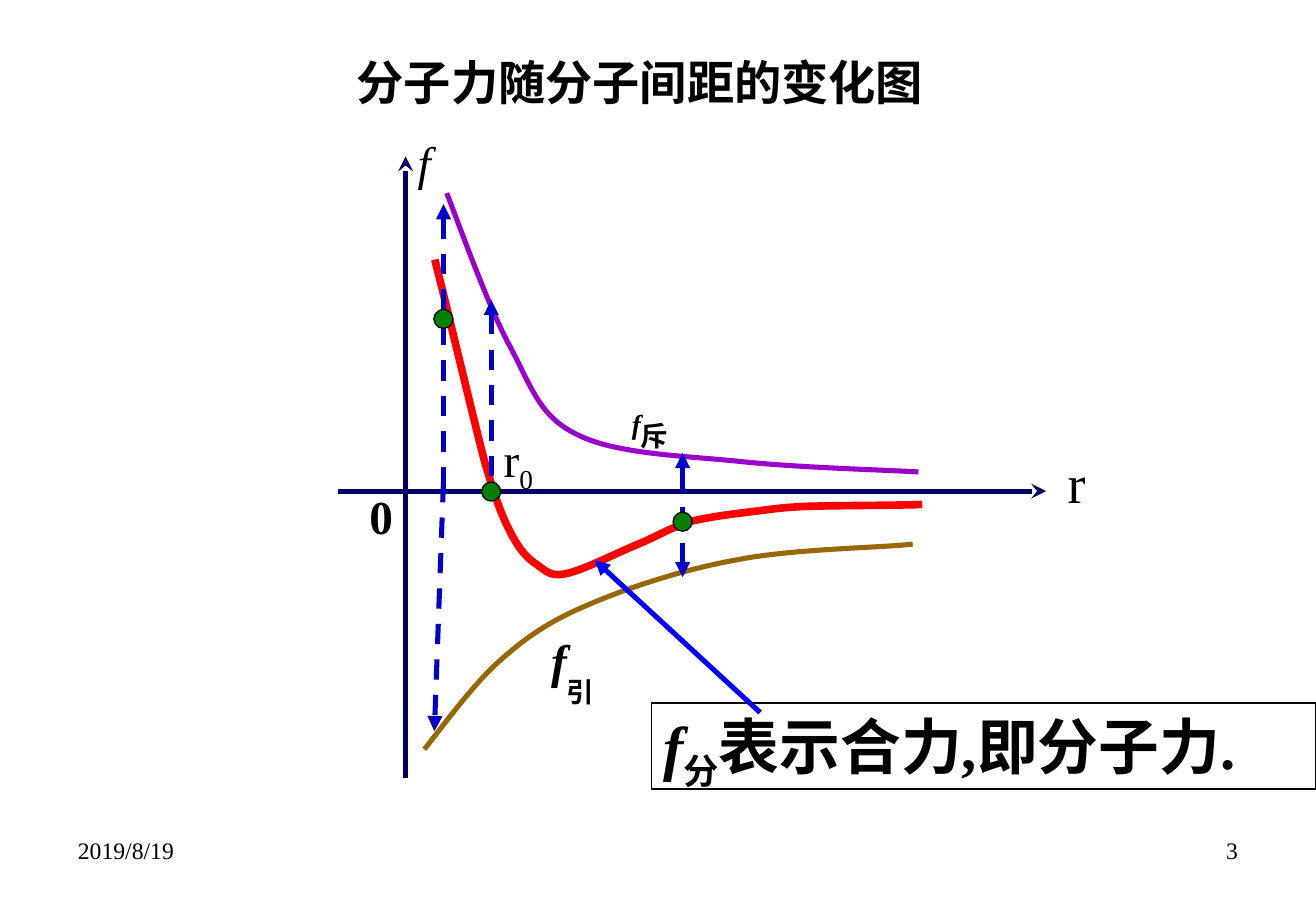
import pptx
import pptx.util
import pptx.dml.color
import pptx.enum.dml
import pptx.enum.shapes
import pptx.enum.text
from lxml import etree
from pptx.oxml.ns import qn

Cm, Pt = pptx.util.Cm, pptx.util.Pt
RGBColor = pptx.dml.color.RGBColor
SHAPES = pptx.enum.shapes.MSO_SHAPE
ALIGN = pptx.enum.text.PP_ALIGN
GROW = pptx.enum.text.MSO_AUTO_SIZE.SHAPE_TO_FIT_TEXT
FIXED = pptx.enum.text.MSO_AUTO_SIZE.NONE

BLACK = RGBColor(0x00, 0x00, 0x00)
NAVY = RGBColor(0x00, 0x00, 0x66)
PURPLE = RGBColor(0x99, 0x00, 0xCC)
BROWN = RGBColor(0x99, 0x66, 0x00)
RED = RGBColor(0xFF, 0x00, 0x00)
ARROW_BLUE = RGBColor(0x00, 0x00, 0xCC)
POINTER_BLUE = RGBColor(0x00, 0x00, 0xFF)
GREEN = RGBColor(0x00, 0x80, 0x00)

deck = pptx.Presentation()
deck.slide_width, deck.slide_height = Cm(27.51), Cm(19.05)
page = deck.slides.add_slide(deck.slide_layouts[6])


def write(frame, spans, size, bold=False, align=ALIGN.LEFT, fit=GROW):
    """Fill a frame with spans of (text, italic, baseline in percent)."""
    frame.word_wrap, frame.auto_size = True, fit
    para = frame.paragraphs[0]
    para.alignment = align
    para.font.name, para.font.size = "Times New Roman", Pt(size)
    para.font.bold, para.font.color.rgb = bold, BLACK
    for text, italic, baseline in spans:
        span = para.add_run()
        span.text = text
        span.font.italic = italic
        if baseline:
            span._r.get_or_add_rPr().set("baseline", str(baseline * 1000))


def draw_arrow(shapes, start, end, color, end_name, head, dashed=False):
    """Draw a line whose arrowhead sits at headEnd (start) or tailEnd (end)."""
    arrow = shapes.add_connector(
        pptx.enum.shapes.MSO_CONNECTOR.STRAIGHT, *map(Cm, start + end))
    arrow.line.color.rgb, arrow.line.width = color, Pt(3)
    if dashed:
        arrow.line.dash_style = pptx.enum.dml.MSO_LINE.DASH
    etree.SubElement(arrow.line._get_or_add_ln(), qn("a:" + end_name), type=head)
    etree.SubElement(arrow._element.spPr, qn("a:effectLst"))


# Force curves: a start point, then three Bezier points per segment
for color, width, points in [
    (PURPLE, 3, [
        (9.34, 4.04), (9.55, 4.57), (10.21, 6.43), (10.67, 7.26),
        (11.13, 8.13), (11.28, 8.71), (12.07, 9.09),
        (12.88, 9.5), (14.3, 9.53), (15.47, 9.65),
        (16.66, 9.78), (18.57, 9.83), (19.2, 9.87)]),
    (BROWN, 3, [
        (8.87, 15.67), (9.12, 15.37), (9.83, 14.38), (10.39, 13.87),
        (10.95, 13.36), (11.46, 13), (12.29, 12.65),
        (13.13, 12.29), (14.27, 11.91), (15.39, 11.71),
        (16.54, 11.48), (18.31, 11.46), (19.08, 11.38)]),
    (RED, 4.5, [
        (9.09, 5.43), (9.27, 6.12), (9.88, 8.69), (10.13, 9.65),
        (10.41, 10.59), (10.49, 10.77), (10.67, 11.13),
        (10.85, 11.48), (11.02, 11.68), (11.23, 11.81),
        (11.43, 11.96), (11.53, 12.07), (11.86, 11.99),
        (12.22, 11.91), (12.9, 11.56), (13.34, 11.38),
        (13.77, 11.2), (14.05, 11.02), (14.45, 10.9),
        (14.88, 10.8), (15.39, 10.74), (15.8, 10.69),
        (16.21, 10.64), (16.28, 10.62), (16.84, 10.59),
        (17.42, 10.57), (18.77, 10.57), (19.28, 10.55)]),
]:
    corners = [(Cm(x), Cm(y)) for x, y in points]
    builder = page.shapes.build_freeform(*corners[0])
    builder.add_line_segments(corners[1:], close=False)
    curve = builder.convert_to_shape()
    curve.shadow.inherit = False
    curve.fill.background()
    curve.line.color.rgb, curve.line.width = color, Pt(width)
    # Join every three straight segments into one Bezier segment
    segments = list(curve._element.iter(qn("a:lnTo")))
    for first in range(0, len(segments), 3):
        bezier = etree.Element(qn("a:cubicBezTo"))
        segments[first].addprevious(bezier)
        for segment in segments[first:first + 3]:
            bezier.append(segment[0])
            segment.getparent().remove(segment)

# Axes
draw_arrow(page.shapes, (7.06, 10.27), (21.87, 10.27), NAVY, "tailEnd", "stealth")
draw_arrow(page.shapes, (8.48, 16.27), (8.48, 3.27), NAVY, "tailEnd", "stealth")

# Date, page number, axis and curve labels
for left, top, width, height, spans, size, bold, align, fit in [
    (1.38, 17.35, 6.43, 1.32, [("2019/8/19", False, 0)], 14, False, ALIGN.LEFT, FIXED),
    (19.7, 17.35, 6.43, 1.32, [("3", False, 0)], 14, False, ALIGN.RIGHT, FIXED),
    (8.48, 2.67, 2.39, 1.45, [("f", True, 0)], 28, False, ALIGN.LEFT, GROW),
    (12.96, 7.73, 2.39, 1.07, [("f", True, -25), ("斥", False, -50)],
     28, True, ALIGN.LEFT, GROW),
    (11.27, 13.08, 2.39, 2.24, [("f", True, 0), ("引", False, -50)],
     28, True, ALIGN.LEFT, GROW),
    (10.28, 8.87, 2.39, 1.45, [("r", False, 0), ("0", False, -25)],
     28, False, ALIGN.LEFT, GROW),
    (7.47, 10.06, 2.39, 1.45, [("0", False, 0)], 28, True, ALIGN.LEFT, GROW),
    (22.07, 9.27, 2.39, 1.6, [("r", False, 0)], 32, False, ALIGN.LEFT, GROW),
]:
    box = page.shapes.add_textbox(Cm(left), Cm(top), Cm(width), Cm(height))
    write(box.text_frame, spans, size, bold, align, fit)

# Dashed force arrows, each set with its point on the net force curve
DOT = 0.4
for (x, y), arrows in [
    ((10.27, 10.28), [((10.27, 6.27), (10.27, 10.28), "headEnd")]),
    ((9.27, 6.67), [((9.27, 4.27), (9.27, 10.28), "headEnd"),
                    ((9.27, 10.08), (9.08, 15.29), "tailEnd")]),
    ((14.27, 10.91), [((14.27, 9.47), (14.27, 10.46), "headEnd"),
                      ((14.27, 9.87), (14.27, 12.07), "tailEnd")]),
]:
    for start, end, end_name in arrows:
        draw_arrow(page.shapes, start, end, ARROW_BLUE, end_name, "triangle", dashed=True)
    dot = page.shapes.add_shape(
        SHAPES.OVAL, Cm(x - DOT / 2), Cm(y - DOT / 2), Cm(DOT), Cm(DOT))
    dot.shadow.inherit = False
    dot.fill.solid()
    dot.fill.fore_color.rgb = GREEN
    dot.line.color.rgb, dot.line.width = BLACK, Pt(0.75)

# Boxed note grouped with its pointer to the net force curve
group = page.shapes.add_group_shape()
note = group.shapes.add_shape(SHAPES.RECTANGLE, Cm(13.62), Cm(14.7), Cm(13.89), Cm(1.8))
note.shadow.inherit = False
note.fill.background()
note.line.color.rgb, note.line.width = BLACK, Pt(0.75)
note.text_frame.vertical_anchor = pptx.enum.text.MSO_ANCHOR.TOP
write(note.text_frame,
      [("f", True, 0), ("分", False, -25), ("表示合力,即分子力.", False, 0)], 36, bold=True)
draw_arrow(group.shapes, (15.89, 14.9), (12.43, 11.71), POINTER_BLUE, "tailEnd", "triangle")

# Title
title = page.shapes.add_textbox(Cm(7.21), Cm(0.99), Cm(12.37), Cm(1.45))
write(title.text_frame, [("分子力随分子间距的变化图", False, 0)], 28, bold=True)
title.text_frame.word_wrap = False

deck.save("out.pptx")
